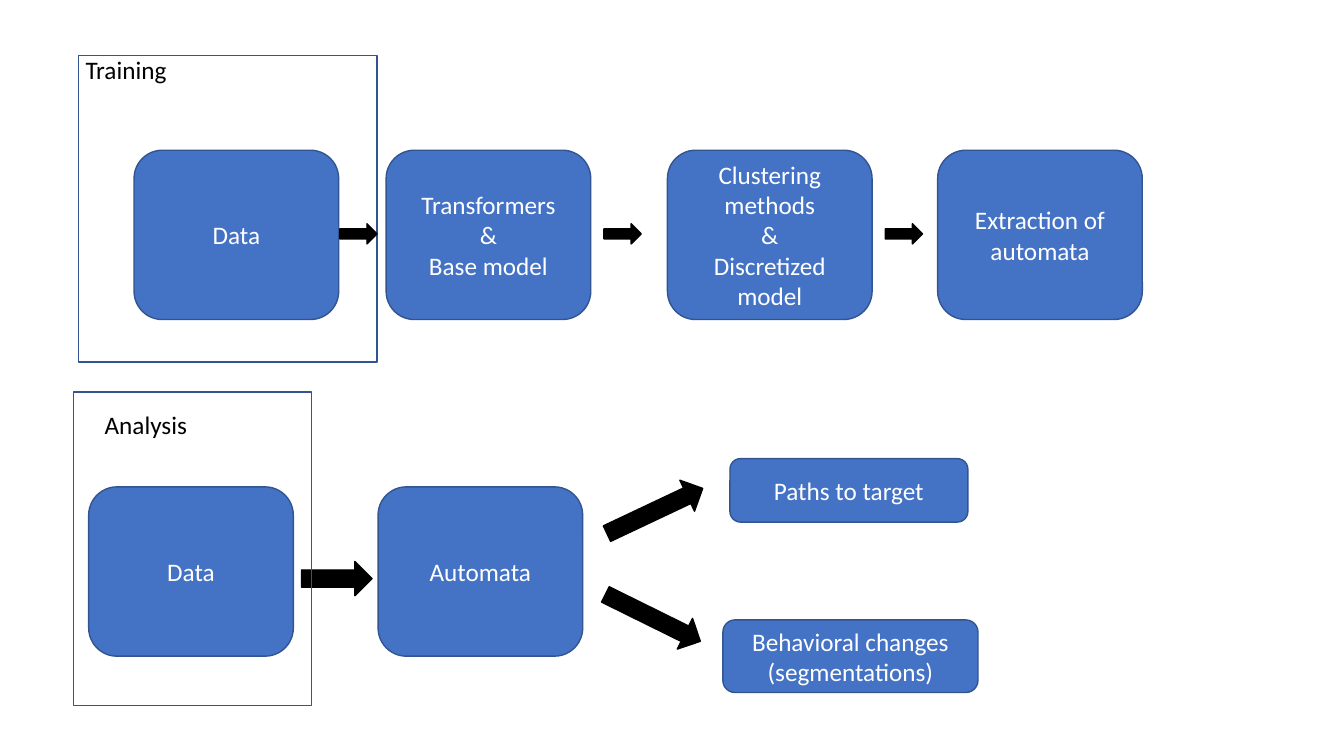
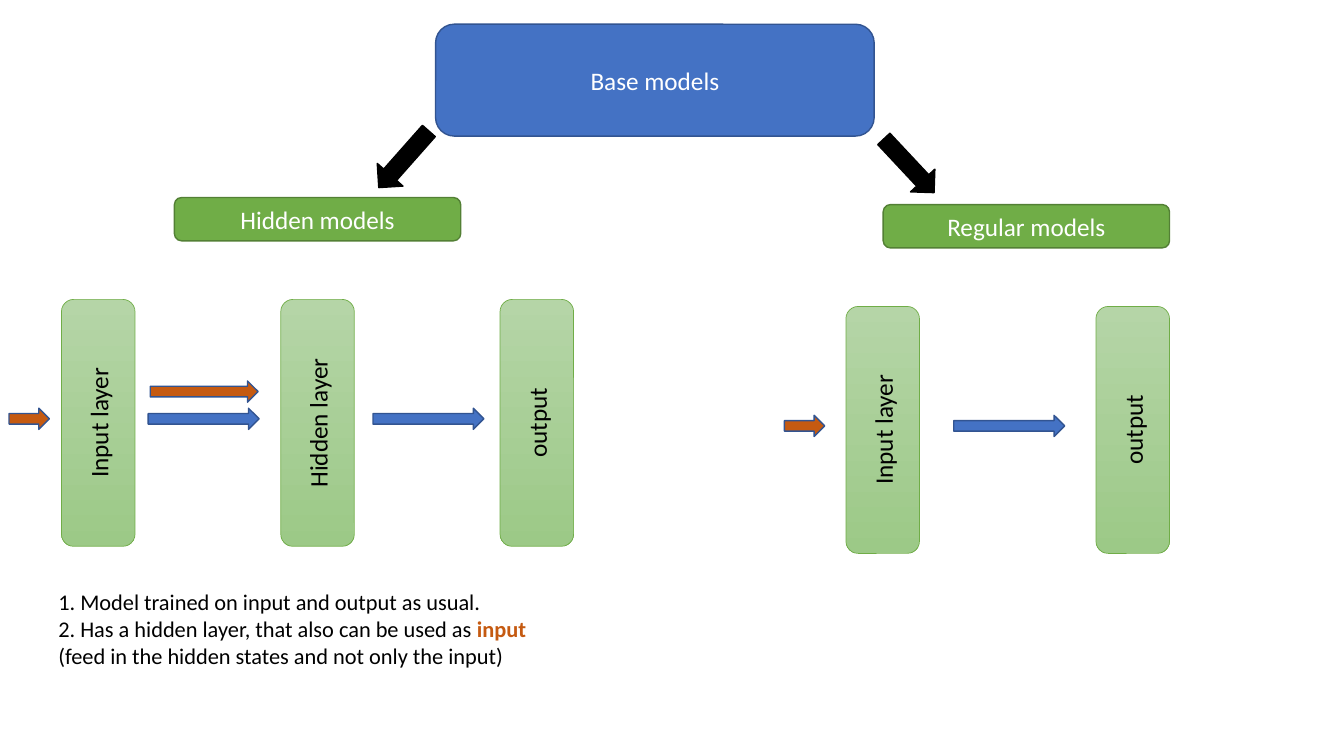
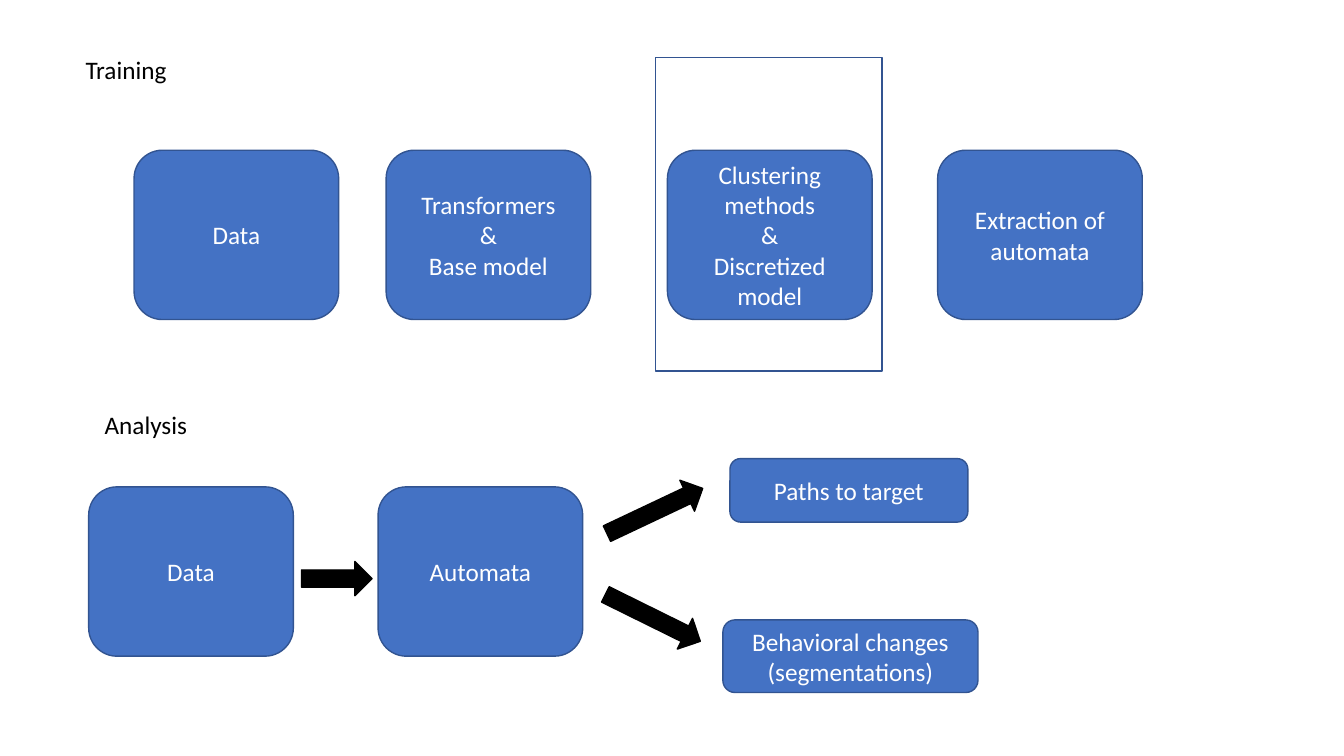
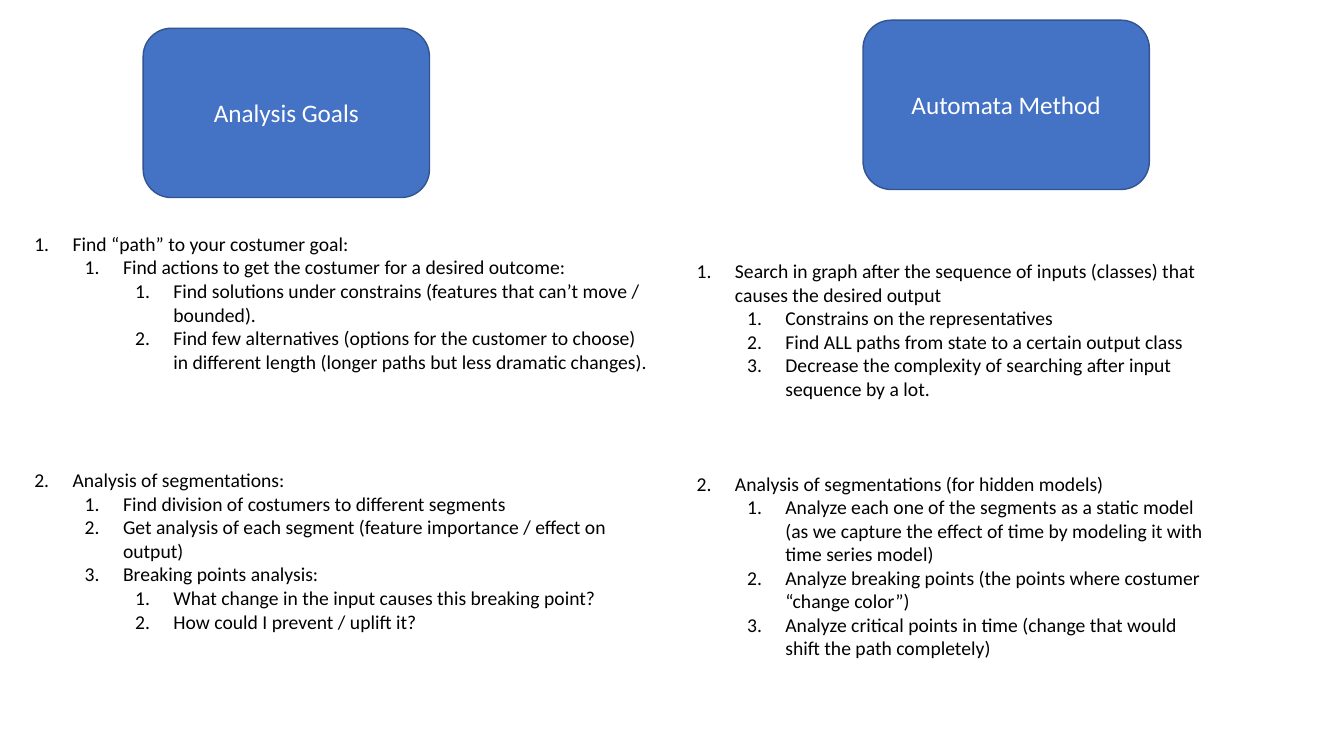
from lxml import etree
from pptx import Presentation
from pptx.dml.color import RGBColor
from pptx.enum.shapes import MSO_SHAPE
from pptx.enum.text import MSO_AUTO_SIZE, PP_ALIGN
from pptx.oxml.ns import qn
from pptx.util import Inches, Pt

ROUNDED = MSO_SHAPE.ROUNDED_RECTANGLE
ARROW = MSO_SHAPE.RIGHT_ARROW
RECTANGLE = MSO_SHAPE.RECTANGLE
LEFT, CENTER = PP_ALIGN.LEFT, PP_ALIGN.CENTER
FIT_SHAPE = MSO_AUTO_SIZE.SHAPE_TO_FIT_TEXT

FONT = "Calibri"
WHITE = RGBColor(0xFF, 0xFF, 0xFF)
BLACK = RGBColor(0x00, 0x00, 0x00)
BLUE = RGBColor(0x44, 0x72, 0xC4)
DARK_BLUE = RGBColor(0x32, 0x54, 0x91)
GREEN = RGBColor(0x70, 0xAD, 0x47)
DARK_GREEN = RGBColor(0x53, 0x80, 0x35)
PALE_GREEN = RGBColor(0xB5, 0xD5, 0xA7)
SOFT_GREEN = RGBColor(0x9C, 0xC9, 0x87)
ORANGE = RGBColor(0xC5, 0x5A, 0x11)

# Process overview: training row above, analysis row below
STEP_W, STEP_H = 2.03, 1.68
TRAINING_TOP, ANALYSIS_TOP = 1.49, 4.83
TRAINING_STEPS = [
    (1.33, ["Data"]),
    (3.83, ["Transformers", "&", "Base model"]),
    (6.62, ["Clustering methods", "&", "Discretized model"]),
    (9.3, ["Extraction of automata"]),
]
ANALYSIS_STEPS = [(0.88, ["Data"]), (3.75, ["Automata"])]
OUTCOMES = [
    ((7.24, 4.55, 2.36, 0.63), ["Paths to target"]),
    ((7.17, 6.15, 2.53, 0.72), ["Behavioral changes (segmentations)"]),
]
ROW_LABELS = [((0.75, 0.49, 1.16, 0.4), "Training"),
              ((0.94, 4.01, 1.16, 0.4), "Analysis")]
ANALYSIS_ARROWS = [((5.97, 4.9, 1.05, 0.34), 334.7),
                   ((5.95, 5.96, 1.05, 0.34), 26.3),
                   ((2.99, 5.57, 0.7, 0.34), 0)]
TRAINING_ARROW_LEFTS = [3.37, 5.99, 8.78]
DATA_FRAMES = [(0.78, 0.55, 2.96, 3.04), (0.73, 3.89, 2.36, 3.11)]
CLUSTERING_FRAME = [(6.5, 0.57, 2.25, 3.11)]

# Base models: arrows are (left, offset from heading, width, colour)
LAYER_W, LAYER_H, LAYER_DROP = 0.73, 2.45, 1.01
FLOW_DROP, FLOW_H = 2.09, 0.21
MODELS = [
    {"heading": "Hidden models", "left": 1.73, "top": 1.96,
     "layers": ["Input layer", "Hidden layer", "output"],
     "first": 0.61, "pitch": 2.175,
     "flows": [(0.09, FLOW_DROP, 0.4, ORANGE), (1.47, FLOW_DROP, 1.1, BLUE),
               (3.7, FLOW_DROP, 1.1, BLUE), (1.49, 1.82, 1.07, ORANGE)]},
    {"heading": "Regular models", "left": 8.76, "top": 2.03,
     "layers": ["Input layer", "output"],
     "first": 8.39, "pitch": 2.48,
     "flows": [(7.78, FLOW_DROP, 0.4, ORANGE), (9.46, FLOW_DROP, 1.1, BLUE)]},
]
BRANCH_ARROWS = [((3.63, 1.41, 0.75, 0.34), 131.5),
                 ((8.65, 1.48, 0.73, 0.33), 46.9)]
MODEL_NOTES = [
    [("1. Model trained on input and output as usual.", False)],
    [("2. Has a hidden layer, that also can be used as ", False),
     ("input", True),
     (" (feed in the hidden states and not only the input)", False)],
]

# Goals and method: items are (level, text), gap is above the second topic
TOPICS = [
    {"heading": "Analysis Goals", "box": (1.42, 0.28, 2.84, 1.68),
     "list": (0.24, 2.25, 6.29, 4.34), "gap": 68,
     "items": [
         (0, "Find “path” to your costumer goal:"),
         (1, "Find actions to get the costumer for a desired outcome:"),
         (2, "Find solutions under constrains (features that can’t move / bounded)."),
         (2, "Find few alternatives (options for the customer to choose) in "
             "different length (longer paths but less dramatic changes)."),
         (0, "Analysis of segmentations:"),
         (1, "Find division of costumers to different segments"),
         (1, "Get analysis of each segment (feature importance / effect on output)"),
         (1, "Breaking points analysis:"),
         (2, "What change in the input causes this breaking point?"),
         (2, "How could I prevent / uplift it?"),
     ]},
    {"heading": "Automata Method", "box": (8.56, 0.2, 2.84, 1.68),
     "list": (6.81, 2.52, 5.26, 4.34), "gap": 51,
     "items": [
         (0, "Search in graph after the sequence of inputs (classes) that "
             "causes the desired output"),
         (1, "Constrains on the representatives"),
         (1, "Find ALL paths from state to a certain output class"),
         (1, "Decrease the complexity of searching after input sequence by a lot."),
         (0, "Analysis of segmentations (for hidden models)"),
         (1, "Analyze each one of the segments as a static model (as we capture "
             "the effect of time by modeling it with time series model)"),
         (1, "Analyze breaking points (the points where costumer “change color”)"),
         (1, "Analyze critical points in time (change that would shift the path "
             "completely)"),
     ]},
]


def inches(box):
    return [Inches(value) for value in box]


def add_run(paragraph, text, size=18, color=BLACK, bold=False):
    run = paragraph.add_run()
    run.text = text
    run.font.name = FONT
    run.font.size = Pt(size)
    run.font.color.rgb = color
    run.font.bold = bold


def paragraphs(frame, count):
    """Return count paragraphs of a text frame that holds a single empty one."""
    return [frame.paragraphs[0]] + [frame.add_paragraph() for _ in range(count - 1)]


def add_outlined(slide, preset, box, fill, line, width=1):
    shape = slide.shapes.add_shape(preset, *inches(box))
    shape.shadow.inherit = False
    if fill is None:
        shape.fill.background()
    else:
        shape.fill.solid()
        shape.fill.fore_color.rgb = fill
    shape.line.color.rgb = line
    shape.line.width = Pt(width)
    return shape


def add_box(slide, box, lines, fill=BLUE, line=DARK_BLUE, width=1, color=WHITE):
    shape = add_outlined(slide, ROUNDED, box, fill, line, width)
    for paragraph, text in zip(paragraphs(shape.text_frame, len(lines)), lines):
        paragraph.alignment = CENTER
        add_run(paragraph, text, color=color)
    return shape


def add_arrow(slide, box, rotation=0, fill=BLACK, line=BLACK):
    add_outlined(slide, ARROW, box, fill, line).rotation = rotation


def add_layer(slide, box, text):
    layer = add_box(slide, box, [text], line=GREEN, width=0.5, color=BLACK)
    layer.fill.gradient()
    layer.fill.gradient_angle = 270
    for stop, color in zip(layer.fill.gradient_stops, (PALE_GREEN, SOFT_GREEN)):
        stop.color.rgb = color
        stop.position = 0 if color == PALE_GREEN else 1
    layer.text_frame._txBody.bodyPr.set("vert", "vert270")


def add_text(slide, box, lines, size):
    """Add a text box; each line is a list of (text, highlighted) runs."""
    frame = slide.shapes.add_textbox(*inches(box)).text_frame
    frame.word_wrap = True
    frame.auto_size = FIT_SHAPE
    for paragraph, runs in zip(paragraphs(frame, len(lines)), lines):
        for text, highlighted in runs:
            add_run(paragraph, text, size, ORANGE if highlighted else BLACK, highlighted)


def fill_numbered_list(placeholder, topic):
    placeholder.left, placeholder.top, placeholder.width, placeholder.height = inches(topic["list"])
    frame = placeholder.text_frame
    frame.word_wrap = True
    frame.auto_size = FIT_SHAPE
    items = topic["items"]
    for index, (level, text) in enumerate(items):
        paragraph = frame.paragraphs[0] if index == 0 else frame.add_paragraph()
        paragraph.level = level
        paragraph.alignment = LEFT
        paragraph.space_before = Pt(topic["gap"] if index and level == 0 else 0)
        paragraph.space_after = Pt(0)
        properties = paragraph._p.get_or_add_pPr()
        properties.set("marL", str(Inches(0.38 + 0.5 * level)))
        properties.set("indent", str(Inches(-0.38)))
        etree.SubElement(properties, qn("a:buFont"), typeface="+mj-lt")
        etree.SubElement(properties, qn("a:buAutoNum"), type="arabicPeriod")
        add_run(paragraph, text, 14)


def build_process(slide, frames, training_arrows):
    for top, steps in ((TRAINING_TOP, TRAINING_STEPS), (ANALYSIS_TOP, ANALYSIS_STEPS)):
        for left, lines in steps:
            add_box(slide, (left, top, STEP_W, STEP_H), lines)
    for box, lines in OUTCOMES:
        add_box(slide, box, lines)
    for box, label in ROW_LABELS:
        add_text(slide, box, [[(label, False)]], 18)
    for box, rotation in ANALYSIS_ARROWS:
        add_arrow(slide, box, rotation)
    for box in frames:
        add_outlined(slide, RECTANGLE, box, None, DARK_BLUE)
    for left in training_arrows:
        add_arrow(slide, (left, 2.22, 0.37, 0.2))


def build_models(slide):
    add_box(slide, (4.32, 0.24, 4.35, 1.11), ["Base models"])
    for model in MODELS:
        top = model["top"]
        add_box(slide, (model["left"], top, 2.84, 0.43), [model["heading"]], GREEN, DARK_GREEN)
        for index, name in enumerate(model["layers"]):
            left = model["first"] + index * model["pitch"]
            add_layer(slide, (left, top + LAYER_DROP, LAYER_W, LAYER_H), name)
        for left, drop, width, color in model["flows"]:
            add_arrow(slide, (left, top + drop, width, FLOW_H), fill=color, line=DARK_BLUE)
    for box, rotation in BRANCH_ARROWS:
        add_arrow(slide, box, rotation)
    add_text(slide, (0.48, 5.79, 5.09, 0.91), MODEL_NOTES, 16)


def build_topics(slide):
    title = slide.shapes.title
    title.element.getparent().remove(title.element)
    for placeholder, topic in zip(list(slide.placeholders), TOPICS):
        add_box(slide, topic["box"], [topic["heading"]])
        fill_numbered_list(placeholder, topic)


def main():
    deck = Presentation()
    deck.slide_width, deck.slide_height = Inches(13.33), Inches(7.5)
    blank, two_content = deck.slide_layouts[6], deck.slide_layouts[3]
    build_process(deck.slides.add_slide(blank), DATA_FRAMES, TRAINING_ARROW_LEFTS)
    build_models(deck.slides.add_slide(blank))
    build_process(deck.slides.add_slide(blank), CLUSTERING_FRAME, [])
    build_topics(deck.slides.add_slide(two_content))
    deck.save("out.pptx")


if __name__ == "__main__":
    main()
